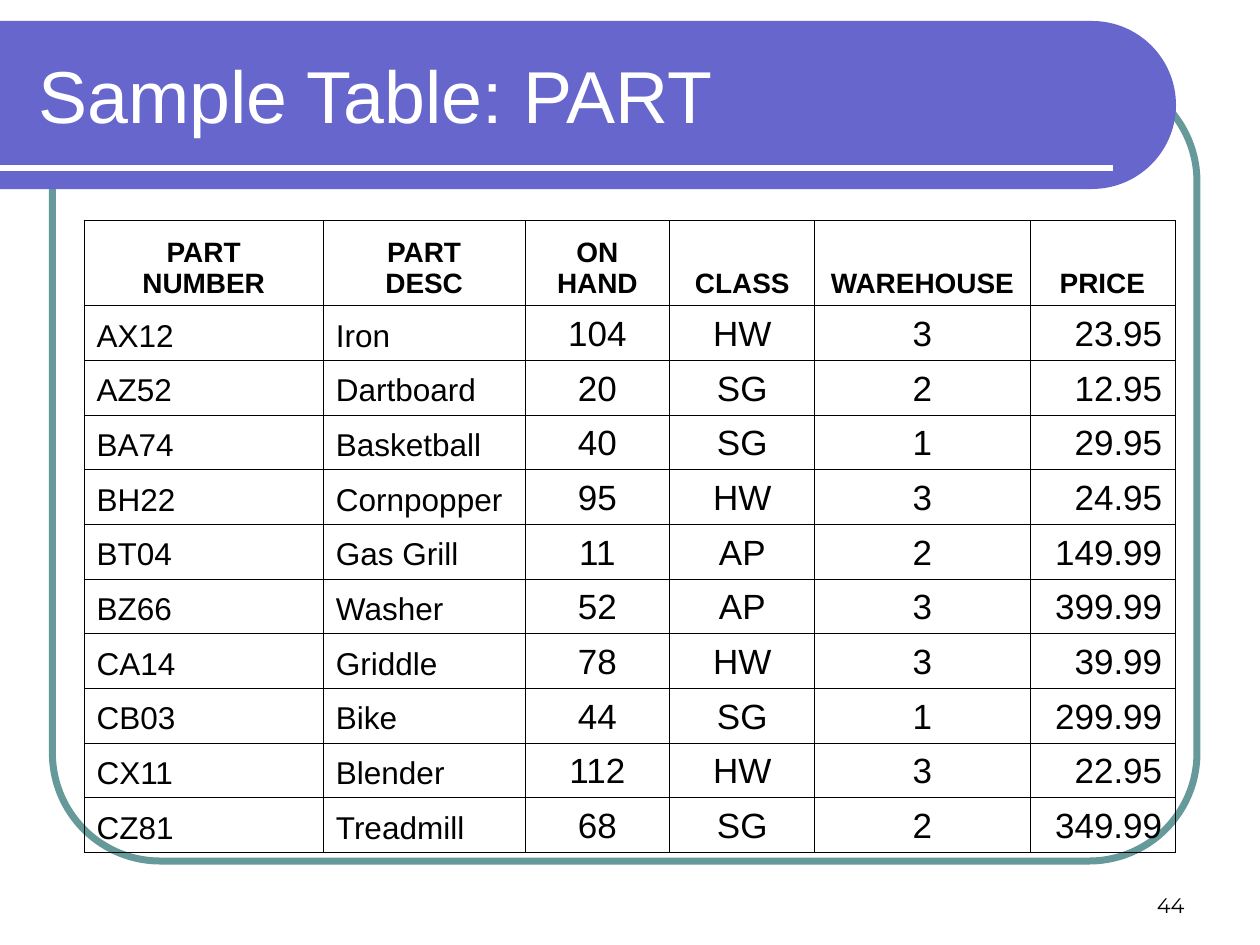
"""Build the sample PART table slide on a grid of twelve cells to the inch."""
import dataclasses
import math

import lxml.etree
import pptx
import pptx.dml.color
import pptx.enum.shapes
import pptx.enum.text
import pptx.oxml
import pptx.oxml.ns
import pptx.util

RGBColor = pptx.dml.color.RGBColor
Align = pptx.enum.text.PP_ALIGN
Anchor = pptx.enum.text.MSO_ANCHOR

BLACK = RGBColor(0x00, 0x00, 0x00)
WHITE = RGBColor(0xFF, 0xFF, 0xFF)
TEAL = RGBColor(0x66, 0x99, 0x99)
VIOLET = RGBColor(0x66, 0x66, 0xCC)

GRID_COLUMNS, GRID_ROWS = 120, 90
HEADER_HEIGHT, BODY_HEIGHT = 8.1, 5.17


@dataclasses.dataclass(frozen=True)
class Area:
    """A rectangle in grid cells."""
    left: float
    top: float
    width: float
    height: float


@dataclasses.dataclass(frozen=True)
class TextStyle:
    """The look of one piece of text."""
    size: float
    color: RGBColor = BLACK
    align: Align = Align.LEFT
    bold: bool = False
    font: str = "Arial"


@dataclasses.dataclass(frozen=True)
class Column:
    """A table column with its heading, width and body style."""
    heading: str
    width: float
    style: TextStyle


LABEL = TextStyle(18)
CENTERED = TextStyle(20, align=Align.CENTER)
AMOUNT = TextStyle(20, align=Align.RIGHT)
HEADING = TextStyle(16, align=Align.CENTER, bold=True)

COLUMNS = (
    Column("PART\vNUMBER", 22.8, LABEL),
    Column("PART\vDESC", 19.2, LABEL),
    Column("ON\vHAND", 13.8, CENTERED),
    Column("CLASS", 13.8, CENTERED),
    Column("WAREHOUSE", 20.5, CENTERED),
    Column("PRICE", 13.8, AMOUNT),
)
PARTS = (
    ("AX12", "Iron", "104", "HW", "3", "23.95"),
    ("AZ52", "Dartboard", "20", "SG", "2", "12.95"),
    ("BA74", "Basketball", "40", "SG", "1", "29.95"),
    ("BH22", "Cornpopper", "95", "HW", "3", "24.95"),
    ("BT04", "Gas Grill", "11", "AP", "2", "149.99"),
    ("BZ66", "Washer", "52", "AP", "3", "399.99"),
    ("CA14", "Griddle", "78", "HW", "3", "39.99"),
    ("CB03", "Bike", "44", "SG", "1", "299.99"),
    ("CX11", "Blender", "112", "HW", "3", "22.95"),
    ("CZ81", "Treadmill", "68", "SG", "2", "349.99"),
)


def cells(count: float) -> pptx.util.Emu:
    """Convert grid cells to a length."""
    return pptx.util.Inches(count / 12)


def place(area: Area) -> tuple:
    """Return left, top, width and height as lengths."""
    return tuple(cells(value) for value in dataclasses.astuple(area))


def write(text_frame, text: str, style: TextStyle) -> None:
    """Write one paragraph and format its runs."""
    paragraph = text_frame.paragraphs[0]
    paragraph.text = text
    paragraph.alignment = style.align
    for run in paragraph.runs:
        run.font.name = style.font
        run.font.size = pptx.util.Pt(style.size)
        run.font.bold = style.bold
        run.font.color.rgb = style.color


def add_text(slide, area: Area, text: str, style: TextStyle, anchor: Anchor) -> None:
    """Add a wrapped text box."""
    text_frame = slide.shapes.add_textbox(*place(area)).text_frame
    text_frame.word_wrap = True
    text_frame.vertical_anchor = anchor
    write(text_frame, text, style)


def add_frame(slide, area: Area) -> None:
    """Add the rounded outline behind the table."""
    kind = pptx.enum.shapes.MSO_SHAPE.ROUNDED_RECTANGLE
    shape = slide.shapes.add_shape(kind, *place(area))
    shape.shadow.inherit = False
    shape.adjustments[0] = 0.137
    shape.fill.background()
    shape.line.color.rgb = TEAL
    shape.line.width = pptx.util.Pt(4)


def add_banner(slide, area: Area, steps: int = 60) -> None:
    """Add the title band with its half-round right end."""
    radius = area.height / 2
    center_x, center_y = area.left + area.width - radius, area.top + radius
    angles = [math.pi * (step / steps - 0.5) for step in range(steps + 1)]
    arc = [(cells(center_x + radius * math.cos(angle)),
            cells(center_y + radius * math.sin(angle))) for angle in angles]
    builder = slide.shapes.build_freeform(cells(area.left), cells(area.top))
    builder.add_line_segments(arc + [(cells(area.left), cells(area.top + area.height))])
    shape = builder.convert_to_shape()
    shape.shadow.inherit = False
    shape.fill.solid()
    shape.fill.fore_color.rgb = VIOLET
    shape.line.fill.background()


def add_rule(slide, top: float, length: float) -> None:
    """Add the white line across the banner."""
    kind = pptx.enum.shapes.MSO_CONNECTOR.STRAIGHT
    connector = slide.shapes.add_connector(kind, 0, cells(top), cells(length), cells(top))
    connector.line.color.rgb = WHITE
    connector.line.width = pptx.util.Pt(3)
    properties = connector._element.spPr
    lxml.etree.SubElement(properties, pptx.oxml.ns.qn("a:effectLst"))


def add_borders(cell, color: RGBColor, width: float) -> None:
    """Draw all four borders of a table cell."""
    properties = cell._tc.get_or_add_tcPr()
    for side in ("lnL", "lnR", "lnT", "lnB"):
        properties.append(pptx.oxml.parse_xml(
            f'<a:{side} {pptx.oxml.ns.nsdecls("a")} w="{pptx.util.Pt(width)}">'
            f'<a:solidFill><a:srgbClr val="{color}"/></a:solidFill></a:{side}>'))


def fill_cell(cell, text: str, style: TextStyle) -> None:
    """Write a bordered, unfilled table cell."""
    write(cell.text_frame, text, style)
    cell.vertical_anchor = Anchor.BOTTOM
    add_borders(cell, BLACK, 0.45)
    cell.fill.background()


def add_parts_table(slide, left: float, top: float) -> None:
    """Add the table of parts."""
    area = Area(left, top, sum(column.width for column in COLUMNS),
                HEADER_HEIGHT + BODY_HEIGHT * len(PARTS))
    table = slide.shapes.add_table(len(PARTS) + 1, len(COLUMNS), *place(area)).table
    table.first_row = table.horz_banding = False
    for row_index, row in enumerate(table.rows):
        row.height = cells(BODY_HEIGHT if row_index else HEADER_HEIGHT)
    for column_index, column in enumerate(COLUMNS):
        table.columns[column_index].width = cells(column.width)
        fill_cell(table.cell(0, column_index), column.heading, HEADING)
        for row_index, part in enumerate(PARTS, start=1):
            fill_cell(table.cell(row_index, column_index), part[column_index], column.style)


def main() -> None:
    """Build and save the presentation."""
    presentation = pptx.Presentation()
    presentation.slide_width = cells(GRID_COLUMNS)
    presentation.slide_height = cells(GRID_ROWS)
    slide = presentation.slides.add_slide(presentation.slide_layouts[6])
    add_frame(slide, Area(5, 7, 109, 75))
    add_banner(slide, Area(0, 2, 112, 16))
    add_rule(slide, 16, 106)
    add_text(slide, Area(86, 82, 28, 6), "44",
             TextStyle(12, align=Align.RIGHT, font="Montserrat"), Anchor.BOTTOM)
    add_text(slide, Area(2.5, 3, 105.25, 12), "Sample Table: PART",
             TextStyle(42, color=WHITE), Anchor.MIDDLE)
    add_parts_table(slide, 8, 21)
    presentation.save("out.pptx")


if __name__ == "__main__":
    main()
